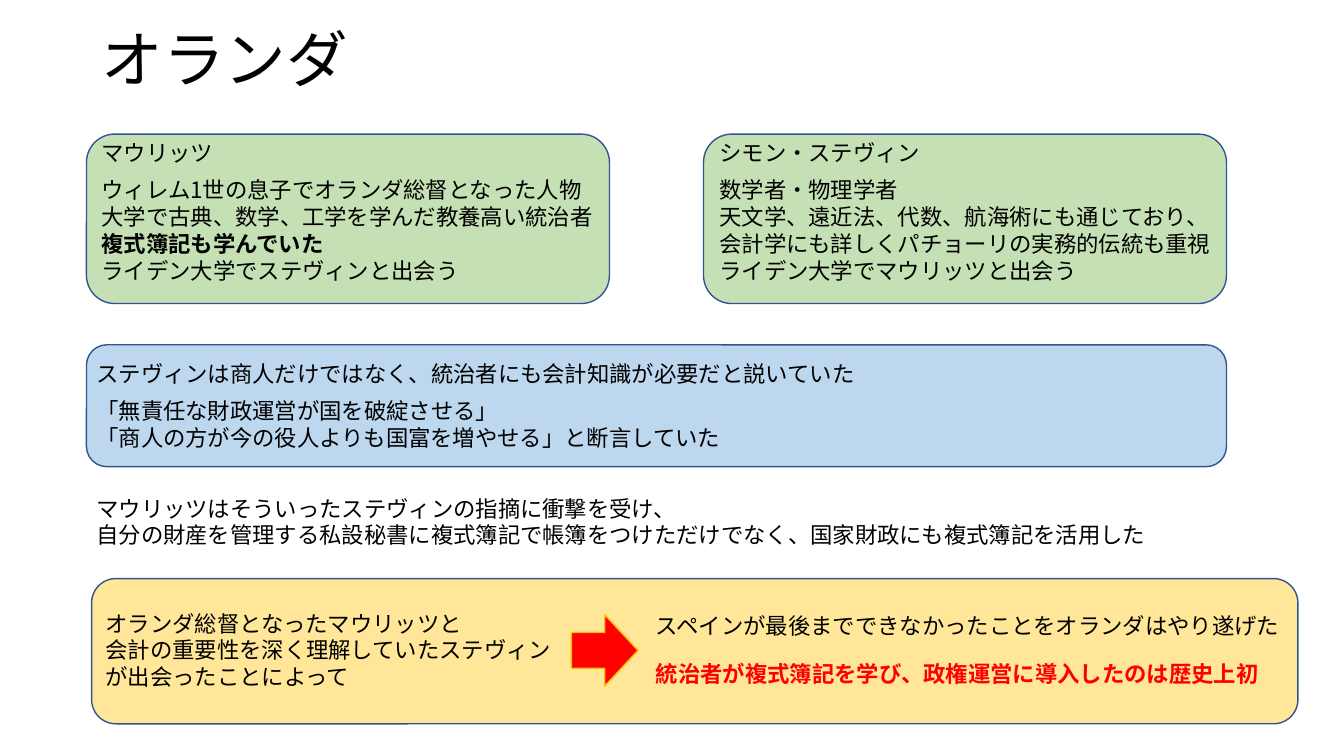
from lxml.etree import SubElement
from pptx import Presentation
from pptx.dml.color import RGBColor
from pptx.enum.shapes import MSO_SHAPE
from pptx.enum.text import MSO_ANCHOR, MSO_AUTO_SIZE, PP_ALIGN
from pptx.oxml.ns import qn
from pptx.util import Cm, Pt

BLACK = RGBColor(0x00, 0x00, 0x00)
RED = RGBColor(0xFF, 0x00, 0x00)
ORANGE = RGBColor(0xFF, 0xC0, 0x00)
OUTLINE_BLUE = RGBColor(0x32, 0x54, 0x91)
GREEN = RGBColor(0xC5, 0xE0, 0xB4)
BLUE = RGBColor(0xBD, 0xD7, 0xEE)
YELLOW = RGBColor(0xFF, 0xE6, 0x99)

LEFT = 2.18
PANEL_TOP = 3.38
PANEL_WIDTH = 13.18
LINE_HEIGHT = 0.68
TEXT_MARGINS = 0.26


class SlideBuilder:
    font_name = "Noto Sans CJK JP"
    text_size = Pt(16)
    line_spacing = Pt(19.2)

    def __init__(self, slide):
        self.slide = slide

    def add_run(self, paragraph, text, size, color=BLACK, bold=False):
        run = paragraph.add_run()
        run.text = text
        font = run.font
        font.name = self.font_name
        font.size = size
        font.bold = bold
        font.color.rgb = color
        east_asian = SubElement(font._element, qn("a:ea"))
        east_asian.set("typeface", self.font_name)

    def title(self, text, left, top, width, height):
        shape = self.slide.shapes.title
        shape.left, shape.top = Cm(left), Cm(top)
        shape.width, shape.height = Cm(width), Cm(height)
        frame = shape.text_frame
        frame.vertical_anchor = MSO_ANCHOR.MIDDLE
        paragraph = frame.paragraphs[0]
        paragraph.alignment = PP_ALIGN.LEFT
        paragraph.line_spacing = 0.9
        self.add_run(paragraph, text, Pt(44))

    def shape(self, kind, left, top, width, height, fill, outline=OUTLINE_BLUE):
        shape = self.slide.shapes.add_shape(kind, Cm(left), Cm(top), Cm(width), Cm(height))
        shape.shadow.inherit = False
        shape.fill.solid()
        shape.fill.fore_color.rgb = fill
        shape.line.color.rgb = outline
        shape.line.width = Pt(1)

    def panel(self, left, top, width, height, fill):
        self.shape(MSO_SHAPE.ROUNDED_RECTANGLE, left, top, width, height, fill)

    def text(self, left, top, width, lines, color=BLACK, bold_lines=()):
        height = len(lines) * LINE_HEIGHT + TEXT_MARGINS
        box = self.slide.shapes.add_textbox(Cm(left), Cm(top), Cm(width), Cm(height))
        frame = box.text_frame
        frame.word_wrap = True
        frame.auto_size = MSO_AUTO_SIZE.SHAPE_TO_FIT_TEXT
        for index, line in enumerate(lines):
            paragraph = frame.paragraphs[0] if index == 0 else frame.add_paragraph()
            paragraph.line_spacing = self.line_spacing
            self.add_run(paragraph, line, self.text_size, color, line in bold_lines)


def main():
    presentation = Presentation()
    presentation.slide_width, presentation.slide_height = Cm(33.87), Cm(19.05)
    builder = SlideBuilder(presentation.slides.add_slide(presentation.slide_layouts[5]))

    builder.title("オランダ", 2.31, 0.15, 29.18, 2.84)

    learned_bookkeeping = "複式簿記も学んでいた"
    people = [
        (LEFT, 2.31, "マウリッツ", [
            "ウィレム1世の息子でオランダ総督となった人物",
            "大学で古典、数学、工学を学んだ教養高い統治者",
            learned_bookkeeping,
            "ライデン大学でステヴィンと出会う",
        ]),
        (17.73, 17.88, "シモン・ステヴィン", [
            "数学者・物理学者",
            "天文学、遠近法、代数、航海術にも通じており、",
            "会計学にも詳しくパチョーリの実務的伝統も重視",
            "ライデン大学でマウリッツと出会う",
        ]),
    ]
    for panel_left, text_left, name, facts in people:
        builder.panel(panel_left, PANEL_TOP, PANEL_WIDTH, 4.27, GREEN)
        builder.text(text_left, PANEL_TOP, 6.1, [name])
        builder.text(text_left, 4.32, 13.05, facts, bold_lines=[learned_bookkeeping])

    builder.panel(LEFT, 8.69, 28.73, 3.07, BLUE)
    builder.text(LEFT, 8.94, 20.47, [
        "ステヴィンは商人だけではなく、統治者にも会計知識が必要だと説いていた",
    ])
    builder.text(LEFT, 9.88, 20.47, [
        "「無責任な財政運営が国を破綻させる」",
        "「商人の方が今の役人よりも国富を増やせる」と断言していた",
    ])

    builder.text(LEFT, 12.34, 27.46, [
        "マウリッツはそういったステヴィンの指摘に衝撃を受け、",
        "自分の財産を管理する私設秘書に複式簿記で帳簿をつけただけでなく、国家財政にも複式簿記を活用した",
    ])

    builder.panel(2.31, 14.58, 30.4, 3.66, YELLOW)
    builder.text(2.41, 15.24, 11.99, [
        "オランダ総督となったマウリッツと",
        "会計の重要性を深く理解していたステヴィン",
        "が出会ったことによって",
    ])
    builder.shape(MSO_SHAPE.RIGHT_ARROW, 14.4, 15.49, 1.68, 1.8, RED, ORANGE)
    builder.text(16.28, 15.29, 16.41, [
        "スペインが最後までできなかったことをオランダはやり遂げた",
    ])
    achievement = "統治者が複式簿記を学び、政権運営に導入したのは歴史上初"
    builder.text(16.28, 16.51, 16.41, [achievement], RED, [achievement])

    presentation.save("out.pptx")


if __name__ == "__main__":
    main()
